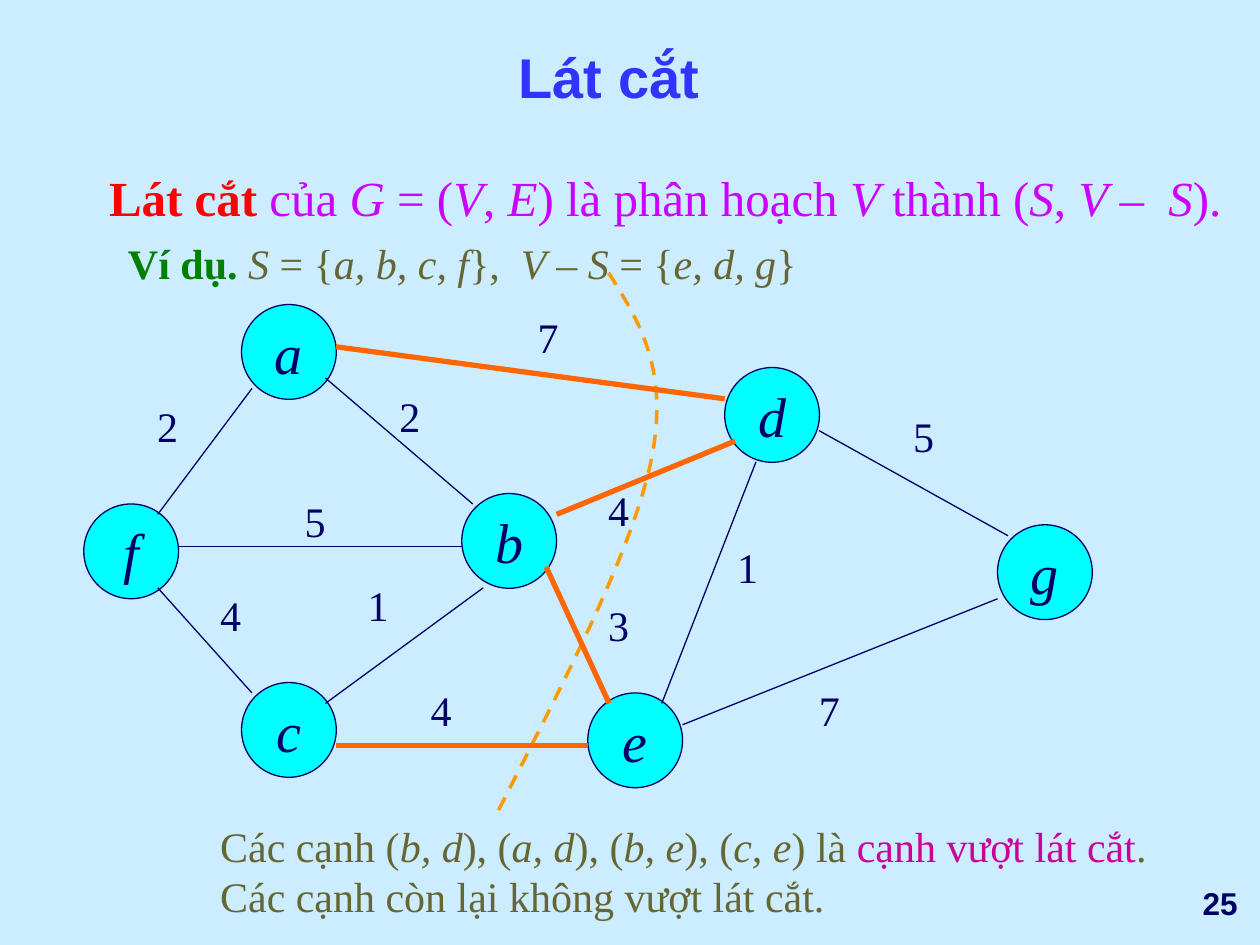
from lxml.etree import SubElement
from pptx import Presentation
from pptx.dml.color import RGBColor
from pptx.enum.dml import MSO_LINE
from pptx.enum.shapes import MSO_CONNECTOR, MSO_SHAPE
from pptx.enum.text import MSO_ANCHOR, MSO_AUTO_SIZE, PP_ALIGN
from pptx.oxml.ns import qn
from pptx.util import Cm, Pt

NAVY, CYAN, ORANGE, AMBER = "000066", "00FFFF", "FF6600", "FF9900"
RED, VIOLET, GREEN, OLIVE, MAGENTA = "FF0000", "CC00FF", "008000", "666633", "CC0099"
SERIF, SANS = "Times New Roman", "Arial"
NODE_SIZE = 1.91


def color(value):
    return RGBColor.from_string(value)


def bezier(points, steps=20):
    p0, p1, p2, p3 = points
    for step in range(1, steps + 1):
        t = step / steps
        u = 1 - t
        yield tuple(
            Cm(u**3 * a + 3 * u * u * t * b + 3 * u * t * t * c + t**3 * d)
            for a, b, c, d in zip(p0, p1, p2, p3)
        )


class GraphSlide:
    def __init__(self, slide, background):
        self.shapes = slide.shapes
        slide.background.fill.solid()
        slide.background.fill.fore_color.rgb = color(background)

    def fill_text(self, frame, paragraphs, size, font=SERIF, align=PP_ALIGN.LEFT, **frame_format):
        for key, value in frame_format.items():
            setattr(frame, key, value)
        for index, spans in enumerate(paragraphs):
            paragraph = frame.add_paragraph() if index else frame.paragraphs[0]
            paragraph.alignment = align
            for text, ink, bold in spans:
                for part, words in enumerate(text.split("*")):
                    if not words:
                        continue
                    run = paragraph.add_run()
                    run.text = words
                    style = {"name": font, "size": Pt(size), "bold": bold, "italic": part % 2 == 1}
                    for key, value in style.items():
                        setattr(run.font, key, value)
                    run.font.color.rgb = color(ink)

    def text(self, box, paragraphs, size, **formatting):
        frame = self.shapes.add_textbox(*map(Cm, box)).text_frame
        self.fill_text(frame, paragraphs, size, **formatting)

    def stroke(self, line, ink, width):
        line.color.rgb = color(ink)
        line.width = Pt(width)

    def node(self, letter, left, top):
        circle = self.shapes.add_shape(
            MSO_SHAPE.OVAL, Cm(left), Cm(top), Cm(NODE_SIZE), Cm(NODE_SIZE)
        )
        circle.shadow.inherit = False
        circle.fill.solid()
        circle.fill.fore_color.rgb = color(CYAN)
        self.stroke(circle.line, NAVY, 0.75)
        self.fill_text(
            circle.text_frame, [[(f"*{letter}*", NAVY, False)]], 32,
            align=PP_ALIGN.CENTER, word_wrap=False, vertical_anchor=MSO_ANCHOR.MIDDLE,
        )

    def edge(self, ends, ink, width):
        edge = self.shapes.add_connector(MSO_CONNECTOR.STRAIGHT, *map(Cm, ends))
        self.stroke(edge.line, ink, width)
        SubElement(edge._element.spPr, qn("a:effectLst"))

    def weight(self, value, left, top):
        self.text(
            (left, top, 0.91, 1.27), [[(value, NAVY, False)]], 24,
            word_wrap=False, auto_size=MSO_AUTO_SIZE.SHAPE_TO_FIT_TEXT,
        )

    def cut(self, curves):
        builder = self.shapes.build_freeform(*map(Cm, curves[0][0]))
        for curve in curves:
            builder.add_line_segments(list(bezier(curve)), close=False)
        cut = builder.convert_to_shape()
        cut.shadow.inherit = False
        cut.fill.background()
        self.stroke(cut.line, AMBER, 2)
        cut.line.dash_style = MSO_LINE.DASH


NODES = {
    "f": (1.69, 10.16),
    "d": (14.61, 7.41),
    "a": (4.87, 6.14),
    "b": (9.31, 9.95),
    "c": (4.87, 13.76),
    "e": (11.85, 13.97),
    "g": (20.11, 10.58),
}
INNER_EDGES = [
    ((6.56, 7.62, 9.53, 10.16), "2", (7.8, 7.75)),
    ((5.08, 7.83, 3.18, 10.37), "2", (2.92, 7.95)),
    ((9.74, 11.85, 6.56, 14.18), "1", (7.16, 11.56)),
    ((3.18, 11.85, 5.08, 13.97), "4", (4.19, 11.76)),
    ((15.24, 9.31, 13.34, 14.18), "1", (14.61, 10.8)),
    ((13.76, 14.61, 20.11, 12.07), "7", (16.26, 13.67)),
    ((16.51, 8.68, 20.32, 10.8), "5", (18.16, 8.15)),
    ((3.6, 11.01, 9.31, 11.01), "5", (5.89, 9.86)),
]
CROSSING_EDGES = [
    ((6.77, 6.99, 14.61, 8.04), "7", (10.59, 6.15)),
    ((11.22, 10.37, 14.82, 8.89), "4", (12.01, 9.65)),
    ((11.01, 11.43, 12.28, 14.18), "3", (12.01, 11.96)),
    ((6.77, 15.03, 11.85, 15.03), "4", (8.43, 13.67)),
]
CUT = [
    ((12.27, 5.5), (12.9, 6.5), (13.51, 7.47), (13.12, 9.32)),
    ((13.12, 9.32), (12.73, 11.15), (11.35, 13.79), (9.96, 16.51)),
]
DEFINITION = [
    ("Lát cắt", RED, True),
    (" của *G* = (*V*, *E*) là phân hoạch *V* thành (*S*, *V –  S*).", VIOLET, False),
]
EXAMPLE = [
    ("Ví dụ. ", GREEN, True),
    ("*S* = {*a, b, c, f*},  *V *– *S* = {*e, d, g*}", OLIVE, False),
]
CONCLUSION = [
    [
        ("Các cạnh (*b, d*), (*a, d*), (*b, e*), (*c, e*) là ", OLIVE, False),
        ("cạnh vượt lát cắt", MAGENTA, False),
        (".", OLIVE, False),
    ],
    [("Các cạnh còn lại không vượt lát cắt.", OLIVE, False)],
]


def main():
    deck = Presentation()
    deck.slide_width, deck.slide_height = Cm(25.4), Cm(19.05)
    page = GraphSlide(deck.slides.add_slide(deck.slide_layouts[6]), "CCECFF")
    fitted = {"word_wrap": False, "auto_size": MSO_AUTO_SIZE.SHAPE_TO_FIT_TEXT}

    page.text(
        (20.32, 17.57, 4.88, 1.27), [[("25", NAVY, True)]], 18, font=SANS,
        align=PP_ALIGN.RIGHT, word_wrap=False, vertical_anchor=MSO_ANCHOR.MIDDLE,
    )
    page.text(
        (1.48, 0, 21.59, 2.33), [[("Lát cắt", "3333FF", True)]], 32, font=SANS,
        align=PP_ALIGN.CENTER, word_wrap=True, vertical_anchor=MSO_ANCHOR.BOTTOM,
    )
    page.cut(CUT)
    page.text((1.95, 3.25, 23.19, 1.45), [DEFINITION], 28, **fitted)
    page.text((2.33, 4.66, 14, 1.27), [EXAMPLE], 24, **fitted)
    page.text((4.19, 16.41, 19.18, 2.29), CONCLUSION, 24, word_wrap=True)

    for letter, place in NODES.items():
        page.node(letter, *place)
    for edges, ink, width in ((INNER_EDGES, NAVY, 0.75), (CROSSING_EDGES, ORANGE, 3)):
        for ends, value, place in edges:
            page.edge(ends, ink, width)
            page.weight(value, *place)
    deck.save("out.pptx")


if __name__ == "__main__":
    main()
